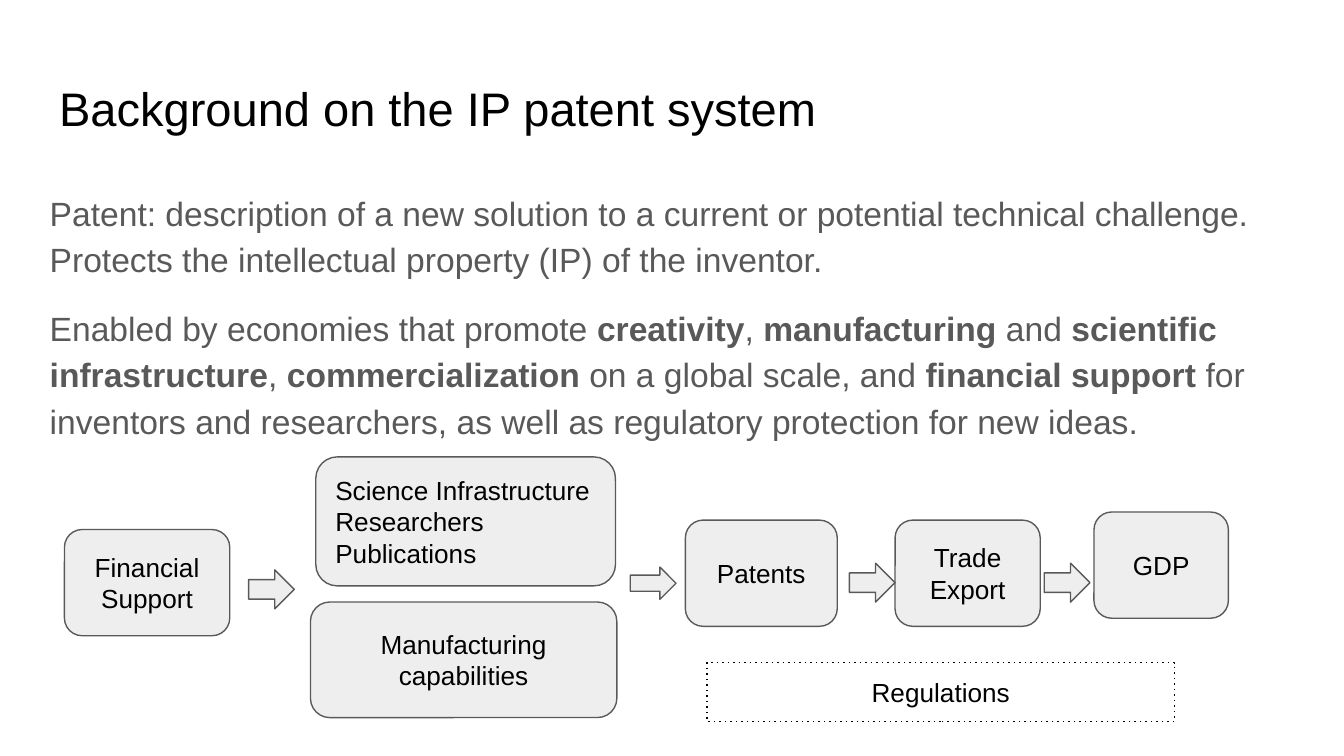
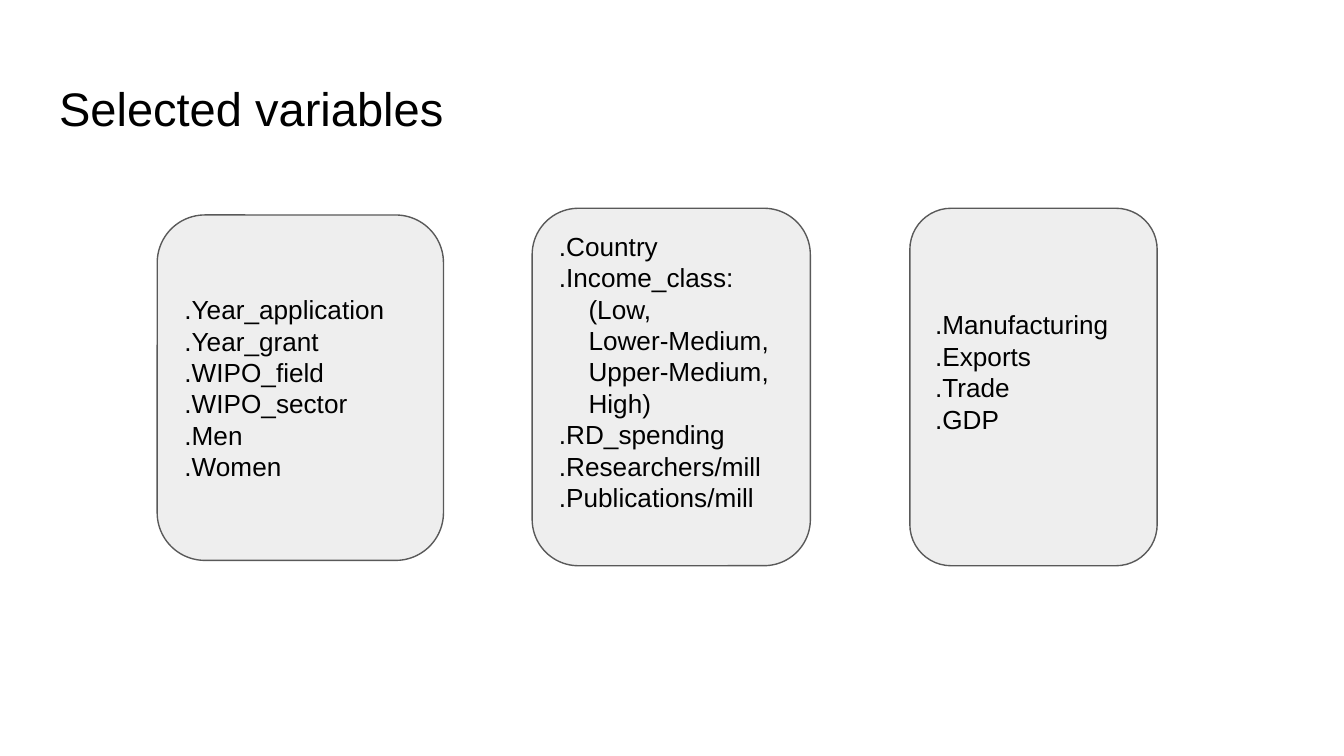
import pptx
import pptx.util
import pptx.dml.color
import pptx.enum.dml
import pptx.enum.shapes
import pptx.enum.text
import pptx.oxml.ns

SHAPE = pptx.enum.shapes.MSO_SHAPE
ALIGN = pptx.enum.text.PP_ALIGN
Inches = pptx.util.Inches
Pt = pptx.util.Pt
qn = pptx.oxml.ns.qn

FONT = "Arial"
COLORS = {"text": "000000", "body": "595959", "box": "EEEEEE", "outline": "595959"}
SLIDE_SIZE = (10, 5.625)
TITLE_AT = (0.34, 0.49, 9.32, 0.63)
BODY_AT = (0.27, 1.29, 9.32, 3.74)
MARGIN = 0.1
LINE = 0.23       # height of one 14 pt line
INDENT = 0.22

# Words between ** are bold.
BACKGROUND_TITLE = "Background on the IP patent system"
BACKGROUND_BODY = [
    "Patent: description of a new solution to a current or potential technical "
    "challenge. Protects the intellectual property (IP) of the inventor.",
    "Enabled by economies that promote **creativity**, **manufacturing** and "
    "**scientific infrastructure**, **commercialization** on a global scale, and "
    "**financial support** for inventors and researchers, as well as regulatory "
    "protection for new ideas.",
]
SCIENCE = (["Science Infrastructure", "Researchers", "Publications"],
           (2.35, 3.4, 2.23, 0.96))
STAGE_HEIGHT = 0.79
STAGES = [  # lines, left, top, width
    (["Financial", "Support"], 0.48, 3.94, 1.23),
    (["Patents"], 5.1, 3.87, 1.13),
    (["Trade", "Export"], 6.66, 3.87, 1.08),
    (["GDP"], 8.14, 3.81, 1),
]
MANUFACTURING = (["Manufacturing", "capabilities"], (2.31, 4.48, 2.28, 0.86))
REGULATIONS = (["Regulations"], (5.26, 4.93, 3.48, 0.44))
ARROW_WIDTH = 0.34
ARROWS = [(1.85, 4.24, 0.29), (4.69, 4.22, 0.24),  # left, top, height
          (6.32, 4.19, 0.29), (7.77, 4.19, 0.29)]

VARIABLES_TITLE = "Selected variables"
# Lines, place, lines left free at the foot; a tab starts an indented line.
VARIABLES = [
    ([".Manufacturing", ".Exports", ".Trade", ".GDP"], (6.77, 1.55, 1.84, 2.66), 1),
    ([".Country", ".Income_class:", "\t(Low,", "\tLower-Medium,", "\tUpper-Medium,",
      "\tHigh)", ".RD_spending", ".Researchers/mill", ".Publications/mill"],
     (3.96, 1.55, 2.07, 2.66), 1),
    ([".Year_application", ".Year_grant", ".WIPO_field", ".WIPO_sector", ".Men",
      ".Women"], (1.17, 1.6, 2.13, 2.57), 0),
]


def rgb(name):
    return pptx.dml.color.RGBColor.from_string(COLORS[name])


def set_font(p, size, color):
    p.font.name, p.font.size = FONT, Pt(size)
    p.font.color.rgb = rgb(color)


def set_frame(tf, anchor, foot=0):
    """Apply the shared margins; foot is the number of lines kept free below."""
    tf.word_wrap = True
    tf.auto_size = pptx.enum.text.MSO_AUTO_SIZE.NONE
    tf.vertical_anchor = anchor
    tf.margin_left = tf.margin_right = tf.margin_top = Inches(MARGIN)
    tf.margin_bottom = Inches(MARGIN + foot * LINE)


def place(s, at):
    s.left, s.top, s.width, s.height = map(Inches, at)


def paragraphs(tf, count):
    return [tf.paragraphs[0]] + [tf.add_paragraph() for _ in range(count - 1)]


def add_slide(prs, layout, title):
    slide = prs.slides.add_slide(prs.slide_layouts.get_by_name(layout))
    sp = slide.shapes.title
    place(sp, TITLE_AT)
    set_frame(sp.text_frame, pptx.enum.text.MSO_ANCHOR.MIDDLE)
    p = sp.text_frame.paragraphs[0]
    p.text, p.alignment = title, ALIGN.LEFT
    set_font(p, 25.2, "text")
    return slide


def fill_body(sp, texts):
    place(sp, BODY_AT)
    set_frame(sp.text_frame, pptx.enum.text.MSO_ANCHOR.TOP)
    for i, (p, text) in enumerate(zip(paragraphs(sp.text_frame, len(texts)), texts)):
        p.line_spacing, p.space_before = 1.15, Pt(12 if i else 0)
        set_font(p, 18, "body")
        pPr = p._p.get_or_add_pPr()
        pPr.set("marL", "0")
        pPr.set("indent", "0")
        bullet = pPr.makeelement(qn("a:buNone"), {})
        pPr.insert_element_before(bullet, "a:tabLst", "a:defRPr", "a:extLst")
        for j, part in enumerate(text.split("**")):
            r = p.add_run()
            r.text = part
            r.font.bold = j % 2 == 1


def add_shape(slide, kind, at, lines=(), align=ALIGN.CENTER, foot=0):
    s = slide.shapes.add_shape(kind, *map(Inches, at))
    s.shadow.inherit = False
    s.fill.solid()
    s.fill.fore_color.rgb = rgb("box")
    s.line.color.rgb = rgb("outline")
    s.line.width = Pt(0.75)
    if lines:
        set_frame(s.text_frame, pptx.enum.text.MSO_ANCHOR.MIDDLE, foot)
        for p, line in zip(paragraphs(s.text_frame, len(lines)), lines):
            p.text, p.alignment = line.lstrip("\t"), align
            set_font(p, 14, "text")
            if line.startswith("\t"):
                p._p.get_or_add_pPr().set("marL", str(Inches(INDENT)))
    return s


def build_background(prs):
    slide = add_slide(prs, "Title and Content", BACKGROUND_TITLE)
    fill_body(slide.placeholders[1], BACKGROUND_BODY)
    lines, at = SCIENCE
    add_shape(slide, SHAPE.FLOWCHART_ALTERNATE_PROCESS, at, lines, ALIGN.LEFT)
    for lines, left, top, width in STAGES:
        add_shape(slide, SHAPE.ROUNDED_RECTANGLE, (left, top, width, STAGE_HEIGHT), lines)
    lines, at = MANUFACTURING
    add_shape(slide, SHAPE.ROUNDED_RECTANGLE, at, lines)

    lines, at = REGULATIONS
    s = add_shape(slide, SHAPE.RECTANGLE, at, lines)
    s.fill.background()
    s.line.color.rgb = rgb("text")
    s.line.dash_style = pptx.enum.dml.MSO_LINE.ROUND_DOT
    for dash in s.element.iter(qn("a:prstDash")):
        dash.set("val", "dot")

    for left, top, height in ARROWS:
        add_shape(slide, SHAPE.RIGHT_ARROW, (left, top, ARROW_WIDTH, height))


def build_variables(prs):
    slide = add_slide(prs, "Title Only", VARIABLES_TITLE)
    for lines, at, foot in VARIABLES:
        add_shape(slide, SHAPE.FLOWCHART_ALTERNATE_PROCESS, at, lines, ALIGN.LEFT, foot)


def main():
    prs = pptx.Presentation()
    prs.slide_width, prs.slide_height = map(Inches, SLIDE_SIZE)
    build_background(prs)
    build_variables(prs)
    prs.save("out.pptx")


if __name__ == "__main__":
    main()
